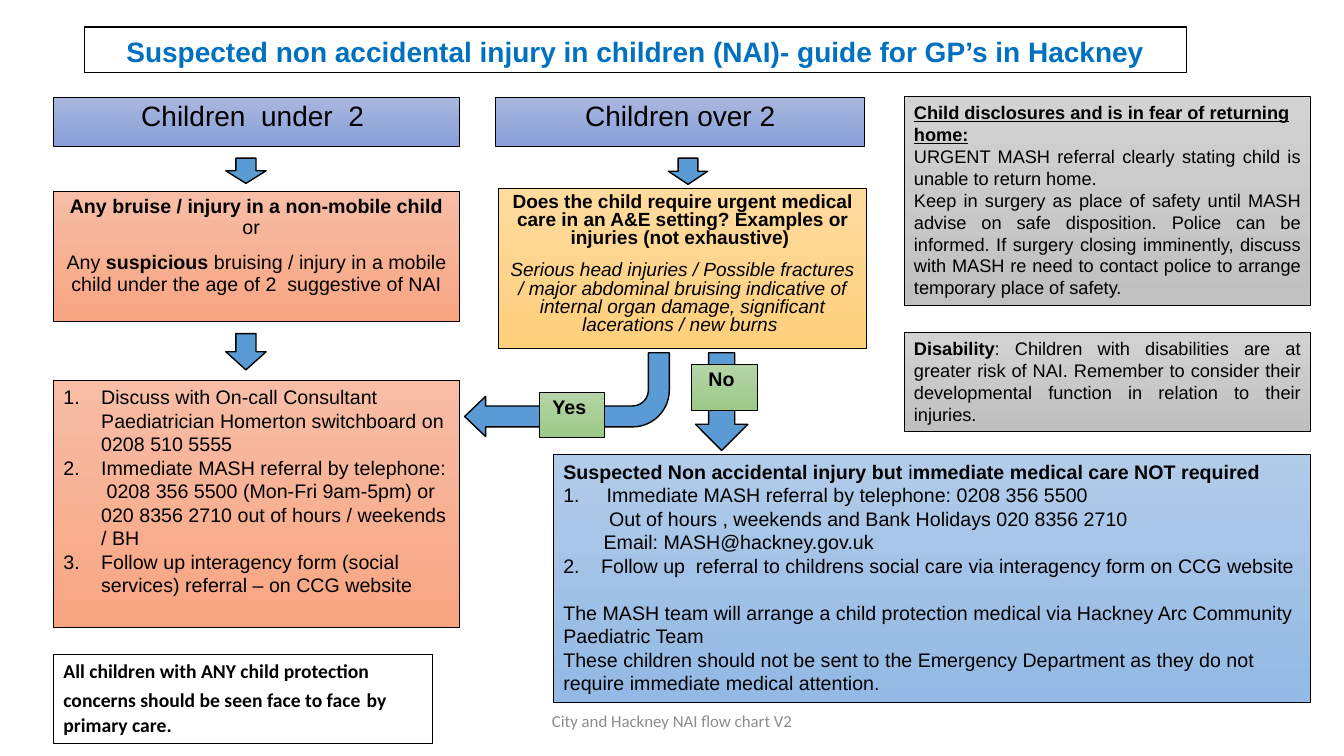
from dataclasses import dataclass

from lxml import etree
from pptx import Presentation
from pptx.dml.color import RGBColor
from pptx.enum.shapes import MSO_SHAPE
from pptx.enum.text import MSO_ANCHOR, PP_ALIGN
from pptx.oxml.ns import qn
from pptx.util import Pt

RECT, DOWN, BENT = MSO_SHAPE.RECTANGLE, MSO_SHAPE.DOWN_ARROW, MSO_SHAPE.BENT_ARROW
TOP, MIDDLE = MSO_ANCHOR.TOP, MSO_ANCHOR.MIDDLE
LEFT, CENTER, JUSTIFY = PP_ALIGN.LEFT, PP_ALIGN.CENTER, PP_ALIGN.JUSTIFY


@dataclass(frozen=True)
class Theme:
    ink: str = "000000"
    white: str = "FFFFFF"
    title: str = "0070C0"
    arrow: str = "5B9BD5"
    muted: str = "8C8C8C"
    salmon: tuple = ("F7BDA5", "F8A582")
    indigo: tuple = ("A8B7DF", "889ED7")
    blue: tuple = ("B1CBE9", "93B9E4")
    gold: tuple = ("FFDB9E", "FFD07C")
    green: tuple = ("B5D5A7", "9CC987")
    grey: tuple = ("D2D2D2", "C0C0C0")
    font: str = "Arial"
    plain: str = "Calibri"
    head: float = 20
    body: float = 14
    ask: float = 13.6
    side: float = 13
    foot: float = 12


THEME = Theme()
COL = 38.2
WIDE = 290.2
SIDE = 645.8
HANG = 27


def color(code):
    return RGBColor.from_string(code)


def paint(shape, fill, weight):
    """Fill with one colour, or with a pair that fades from top to bottom."""
    shape.shadow.inherit = False
    if isinstance(fill, tuple):
        shape.fill.gradient()
        shape.fill.gradient_angle = 270
        for stop, code in zip(shape.fill.gradient_stops, fill):
            stop.color.rgb = color(code)
    else:
        shape.fill.solid()
        shape.fill.fore_color.rgb = color(fill)
    shape.line.color.rgb = color(THEME.ink)
    shape.line.width = Pt(weight)


def box(slide, place, fill, weight=0.5, anchor=TOP):
    shape = slide.shapes.add_shape(RECT, *map(Pt, place))
    paint(shape, fill, weight)
    frame = shape.text_frame
    frame.word_wrap = True
    frame.vertical_anchor = anchor
    return frame


def arrow(slide, kind, place):
    shape = slide.shapes.add_shape(kind, *map(Pt, place))
    paint(shape, THEME.arrow, 1)
    return shape


def write(frame, *runs, size=THEME.body, font=THEME.font, ink=THEME.ink,
          align=LEFT, line=None, gap=0, num=0, indent=0):
    """Add a paragraph; a run is text, or (text, flags from "biu", size)."""
    para = frame.paragraphs[0]
    if para.runs:
        para = frame.add_paragraph()
    para.alignment = align
    if line:
        para.line_spacing = line
    if gap:
        para.space_before = Pt(gap)
    props = para._p.get_or_add_pPr()
    if num:
        props.set("marL", str(Pt(HANG)))
        props.set("indent", str(-Pt(HANG)))
        etree.SubElement(props, qn("a:buFont"), typeface=font)
        etree.SubElement(props, qn("a:buAutoNum"), type="arabicPeriod",
                         startAt=str(num))
    elif indent:
        props.set("marL", "0")
        props.set("indent", str(Pt(indent)))
    para.font.size = Pt(size)
    for item in runs:
        parts = (item,) if isinstance(item, str) else item
        text, flags, points = (*parts, "", size)[:3] if len(parts) == 1 else (
            *parts, size)[:3]
        run = para.add_run()
        run.text = text
        run.font.name = font
        run.font.size = Pt(points)
        run.font.color.rgb = color(ink)
        run.font.bold = "b" in flags
        run.font.italic = "i" in flags
        run.font.underline = "u" in flags


def heads(slide):
    frame = box(slide, (60.5, 19.4, 787, 32.4), THEME.white, 1, MIDDLE)
    write(frame, ("Suspected non accidental injury in children (NAI)- guide for "
                  "GP’s in Hackney", "b"),
          size=THEME.head, ink=THEME.title, align=CENTER, line=1.07)
    for left, width, text in ((COL, WIDE, "Children  under  2 "),
                              (354.2, 263.5, "Children over 2")):
        frame = box(slide, (left, 69.8, width, 34.6), THEME.indigo)
        write(frame, text, size=THEME.head, align=CENTER, line=0.9)


def under(slide):
    frame = box(slide, (COL, 136.8, WIDE, 92.9), THEME.salmon)
    write(frame, ("Any bruise / injury in a non-mobile child", "b"), " or  ",
          align=CENTER, line=0.9)
    write(frame, "Any ", ("suspicious", "b"),
          " bruising / injury in a mobile child under the age of 2  "
          "suggestive of NAI", align=CENTER, line=0.9, gap=10)
    frame = box(slide, (COL, 271.4, WIDE, 177.1), THEME.salmon)
    steps = (
        "Discuss with On-call Consultant Paediatrician Homerton switchboard on "
        "0208 510 5555",
        "Immediate MASH referral by telephone:  0208 356 5500 (Mon-Fri 9am-5pm) "
        "or 020 8356 2710 out of hours / weekends / BH",
        "Follow up interagency form (social services) referral – on CCG website",
    )
    for step in steps:
        write(frame, step, num=1)
    frame = box(slide, (COL, 467.3, 270.7, 63.4), THEME.white, 0.25)
    write(frame, ("All children with ANY child protection concerns should be "
                  "seen face to face", "b"), (" ", "", 18),
          ("by primary care.", "b"), font=THEME.plain)


def over(slide):
    frame = box(slide, (355.7, 134.6, 263.5, 114.5), THEME.gold)
    look = dict(size=THEME.ask, align=CENTER, line=0.8)
    write(frame, ("Does the child require urgent medical care in an A&E setting? "
                  "Examples or injuries (not exhaustive) ", "b"), **look)
    write(frame, ("Serious head injuries / Possible fractures / major abdominal "
                  "bruising indicative of internal organ damage, significant "
                  "lacerations / new burns ", "i"), gap=10, **look)
    frame = box(slide, (395.3, 324.7, 540.7, 177.1), THEME.blue)
    write(frame, ("Suspected Non accidental injury but ", "b"), "i",
          ("mmediate medical care NOT required", "b"))
    write(frame, " Immediate MASH referral by telephone: 0208 356 5500", num=1)
    write(frame, (" ", "b"),
          "Out of hours , weekends and Bank Holidays 020 8356 2710", indent=28.8)
    write(frame, "Email: MASH@hackney.gov.uk", indent=28.8)
    write(frame, "Follow up  referral to childrens social care via interagency "
                 "form on CCG website", num=2)
    write(frame, "The MASH team will arrange a child protection medical via "
                 "Hackney Arc Community Paediatric Team", gap=16.8)
    write(frame, "These children should not be sent to the Emergency Department "
                 "as they do not require immediate medical attention.")


def sides(slide):
    look = dict(size=THEME.side, align=JUSTIFY)
    frame = box(slide, (SIDE, 69.1, WIDE, 149), THEME.grey)
    write(frame, ("Child disclosures and is in fear of returning home:", "bu"),
          size=THEME.side)
    write(frame, "URGENT MASH referral clearly stating child is unable to return "
                 "home. ", **look)
    write(frame, "Keep in surgery as place of safety until MASH advise on safe "
                 "disposition. Police can be informed. If surgery closing "
                 "imminently, discuss with MASH re need to contact police to "
                 "arrange temporary place of safety.", **look)
    frame = box(slide, (SIDE, 237.6, WIDE, 70.6), THEME.grey)
    write(frame, ("Disability", "b"),
          ": Children with disabilities are at greater risk of NAI. Remember to "
          "consider their developmental function in relation to their "
          "injuries. ", **look)


def flow(slide):
    for place in ((161.3, 113, 28.8, 18), (161.3, 238.3, 28.8, 25.9),
                  (477.4, 113, 28.1, 18.7), (496.8, 252, 37.4, 69.8)):
        arrow(slide, DOWN, place)
    bend = arrow(slide, BENT, (331.9, 252, 146.2, 59.8))
    bend.rotation = 180
    for i, ratio in enumerate((0.25, 0.24, 0.25, 0.44)):
        bend.adjustments[i] = ratio
    for left, top, text in ((385.2, 280.1, "Yes "), (493.9, 260.6, "No ")):
        frame = box(slide, (left, top, 46.8, 32.4), THEME.green)
        write(frame, (text, "b"), align=CENTER, line=0.9)


def foot(slide):
    frame = slide.shapes.add_textbox(*map(Pt, (318.2, 500.4, 324, 28.8))).text_frame
    frame.word_wrap = True
    frame.vertical_anchor = MIDDLE
    write(frame, "City and Hackney NAI flow chart V2", size=THEME.foot,
          font=THEME.plain, ink=THEME.muted, align=CENTER)


def main():
    deck = Presentation()
    deck.slide_width, deck.slide_height = Pt(960), Pt(540)
    slide = deck.slides.add_slide(deck.slide_layouts[6])
    for part in (heads, under, over, sides, flow, foot):
        part(slide)
    deck.save("out.pptx")


if __name__ == "__main__":
    main()
